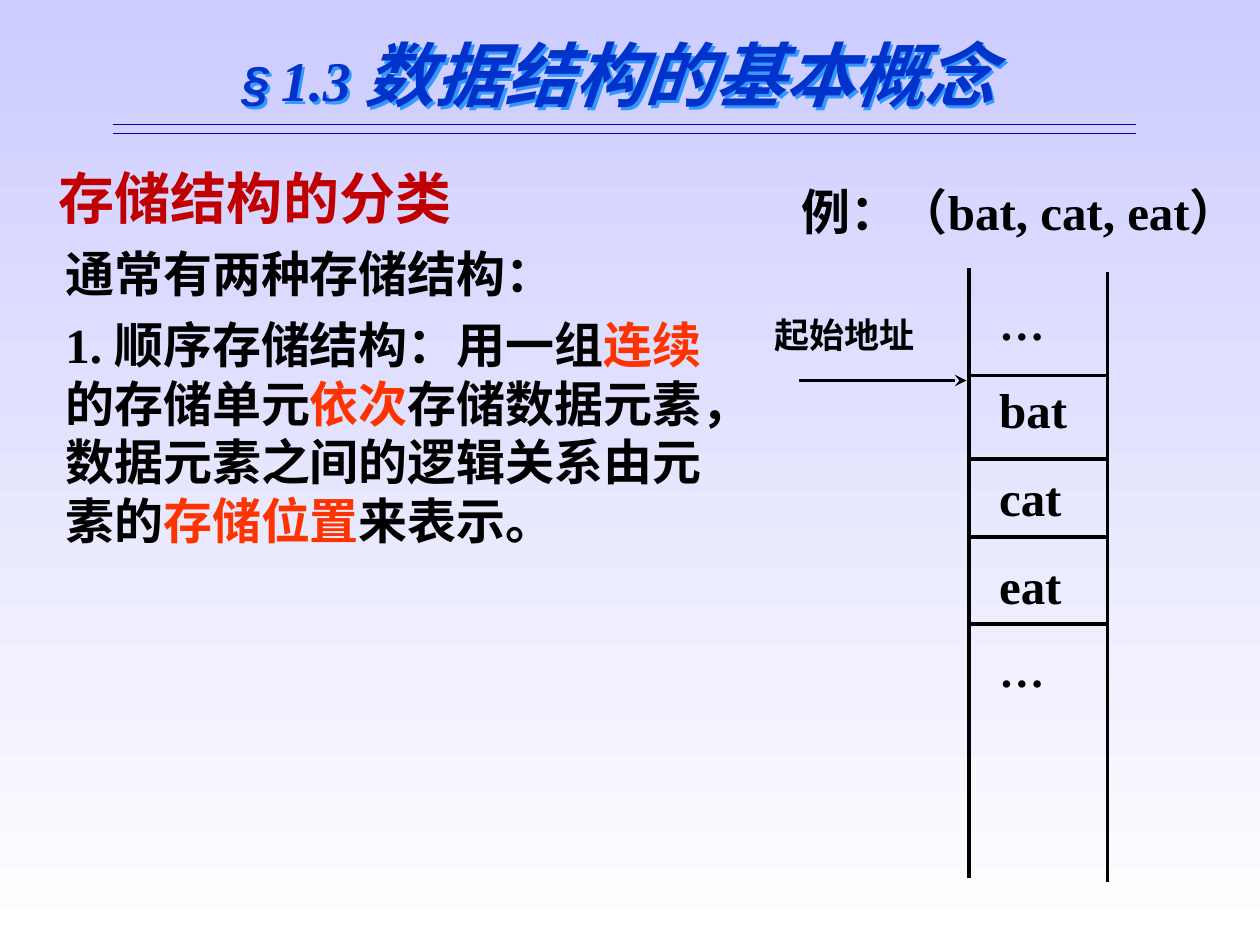
from lxml import etree
from pptx import Presentation
from pptx.dml.color import RGBColor
from pptx.enum.dml import MSO_FILL
from pptx.enum.lang import MSO_LANGUAGE_ID
from pptx.enum.shapes import MSO_CONNECTOR
from pptx.enum.text import MSO_ANCHOR, MSO_AUTO_SIZE, PP_ALIGN
from pptx.oxml.ns import qn
from pptx.util import Inches, Pt

STRAIGHT = MSO_CONNECTOR.STRAIGHT
CHINESE = MSO_LANGUAGE_ID.SIMPLIFIED_CHINESE
TOP = MSO_ANCHOR.TOP
NO_AUTOFIT = MSO_AUTO_SIZE.NONE
LEFT, CENTER, JUSTIFY = PP_ALIGN.LEFT, PP_ALIGN.CENTER, PP_ALIGN.JUSTIFY

THEME = {
    "font": "Times New Roman", "symbol_font": "Arial",
    "black": "000000", "red": "C00000", "accent": "FF3300",
    "title": "0033CC", "title_shadow": "3399FF", "rule": "0000CC",
    "background": ("CCCCFF", "FFFFFF"),
    "title_size": 40, "number_size": 32, "heading_size": 32,
    "body_size": 28, "dots_size": 26, "label_size": 20,
    "line_width": 2.25, "rule_width": 0.75,
}

# A paragraph is a list of runs: (text, format overrides)
ACCENT = {"color": THEME["accent"]}
TITLE = [[
    ("§", {"size": THEME["body_size"], "font": THEME["symbol_font"]}),
    (" ", {"size": 24, "font": THEME["symbol_font"], "bold": False, "italic": False}),
    ("1.3 ", {"size": THEME["number_size"]}),
    ("数据结构的基本概念", {}),
]]
HEADING = [[("存储结构的分类", {})]]
BODY = [
    [("通常有两种存储结构：", {})],
    [("1. 顺序存储结构：用一组", {}), ("连续", ACCENT), ("的存储单元", {}),
     ("依次", ACCENT), ("存储数据元素，数据元素之间的逻辑关系由元素的", {}),
     ("存储位置", ACCENT), ("来表示。", {})],
]
EXAMPLE = [[("例：（bat, cat, eat）", {})]]
START_LABEL = [[("起始地址", {})]]
DOTS = {"size": THEME["dots_size"]}
CELLS = [[("…", DOTS)], [("bat", {})], [("cat", {})], [("eat", {})], [("…", DOTS)]]

MEMORY_LEFT, MEMORY_RIGHT = 7.69, 8.79
MEMORY_SIDES = [(MEMORY_LEFT, 2.13), (MEMORY_RIGHT, 2.16)]
MEMORY_HEIGHT = 4.84
CELL_BORDERS = [2.98, 3.64, 4.26, 4.95]
TITLE_RULES = [0.99, 1.06]


def write_text(shape, paragraphs, size, color=THEME["black"], align=LEFT, italic=False,
               before=0, spacing=1.0, insets=(0.1, 0.05)):
    frame = shape.text_frame
    frame.word_wrap = True
    frame.auto_size = NO_AUTOFIT
    frame.vertical_anchor = TOP
    frame.margin_left = frame.margin_right = Inches(insets[0])
    frame.margin_top = frame.margin_bottom = Inches(insets[1])
    for index, runs in enumerate(paragraphs):
        paragraph = frame.add_paragraph() if index else frame.paragraphs[0]
        paragraph.alignment = align
        paragraph.space_before = Pt(before)
        paragraph.line_spacing = spacing
        for text, changes in runs:
            run = paragraph.add_run()
            run.text = text
            font = run.font
            font.name = changes.get("font", THEME["font"])
            font.size = Pt(changes.get("size", size))
            font.bold = changes.get("bold", True)
            font.italic = changes.get("italic", italic)
            font.color.rgb = RGBColor.from_string(changes.get("color", color))
            font.language_id = CHINESE


def add_text(slide, box, paragraphs, **text_format):
    shape = slide.shapes.add_textbox(*map(Inches, box))
    write_text(shape, paragraphs, **text_format)


def add_line(slide, start, end, color=THEME["black"], width=THEME["line_width"], arrow=False):
    line = slide.shapes.add_connector(STRAIGHT, *map(Inches, (*start, *end)))
    line.line.color.rgb = RGBColor.from_string(color)
    line.line.width = Pt(width)
    if arrow:
        etree.SubElement(line.line._get_or_add_ln(), qn("a:tailEnd"), type="stealth")
    etree.SubElement(line._element.spPr, qn("a:effectLst"))


def add_title(slide):
    title = slide.shapes.title
    title.left, title.top, title.width, title.height = map(Inches, (1.52, 0.2, 6.77, 0.77))
    write_text(title, TITLE, size=THEME["title_size"], color=THEME["title"],
               align=CENTER, italic=True)
    # An unfilled shape passes its shadow on to its text
    effects = etree.SubElement(title._element.spPr, qn("a:effectLst"))
    shadow = etree.SubElement(effects, qn("a:outerShdw"), dist=str(Inches(0.03)), dir="2700000")
    etree.SubElement(shadow, qn("a:srgbClr"), val=THEME["title_shadow"])
    for y in TITLE_RULES:
        add_line(slide, (0.9, y), (9.02, y), color=THEME["rule"], width=THEME["rule_width"])


def add_memory(slide):
    for x, top in MEMORY_SIDES:
        add_line(slide, (x, top), (x, top + MEMORY_HEIGHT))
    for y in CELL_BORDERS:
        add_line(slide, (MEMORY_LEFT, y), (MEMORY_RIGHT, y))
    add_text(slide, (7.93, 2.08, 0.66, 3.83), CELLS, size=THEME["body_size"],
             align=JUSTIFY, spacing=1.5, insets=(0, 0.05))
    add_text(slide, (6.13, 2.5, 1.43, 0.46), START_LABEL, size=THEME["label_size"],
             align=JUSTIFY, spacing=0.96, insets=(0.02, 0.01))
    add_line(slide, (6.34, 3.02), (7.67, 3.02), arrow=True)


def set_background(slide):
    fill = slide.background.fill
    if fill.type != MSO_FILL.GRADIENT:
        fill.gradient()
    fill.gradient_angle = 270
    for stop, color in zip(fill.gradient_stops, THEME["background"]):
        stop.color.rgb = RGBColor.from_string(color)


def main():
    presentation = Presentation()
    presentation.slide_width, presentation.slide_height = Inches(10), Inches(7.5)
    slide = presentation.slides.add_slide(presentation.slide_layouts.get_by_name("Title Only"))
    set_background(slide)
    add_title(slide)
    add_text(slide, (0.37, 1.25, 5.76, 0.64), HEADING, size=THEME["heading_size"],
             color=THEME["red"], before=20)
    add_text(slide, (0.42, 1.88, 5.51, 4.58), BODY, size=THEME["body_size"], before=7)
    add_text(slide, (6.26, 1.39, 3.74, 1.04), EXAMPLE, size=THEME["body_size"], before=17.5)
    add_memory(slide)
    presentation.save("out.pptx")


if __name__ == "__main__":
    main()
